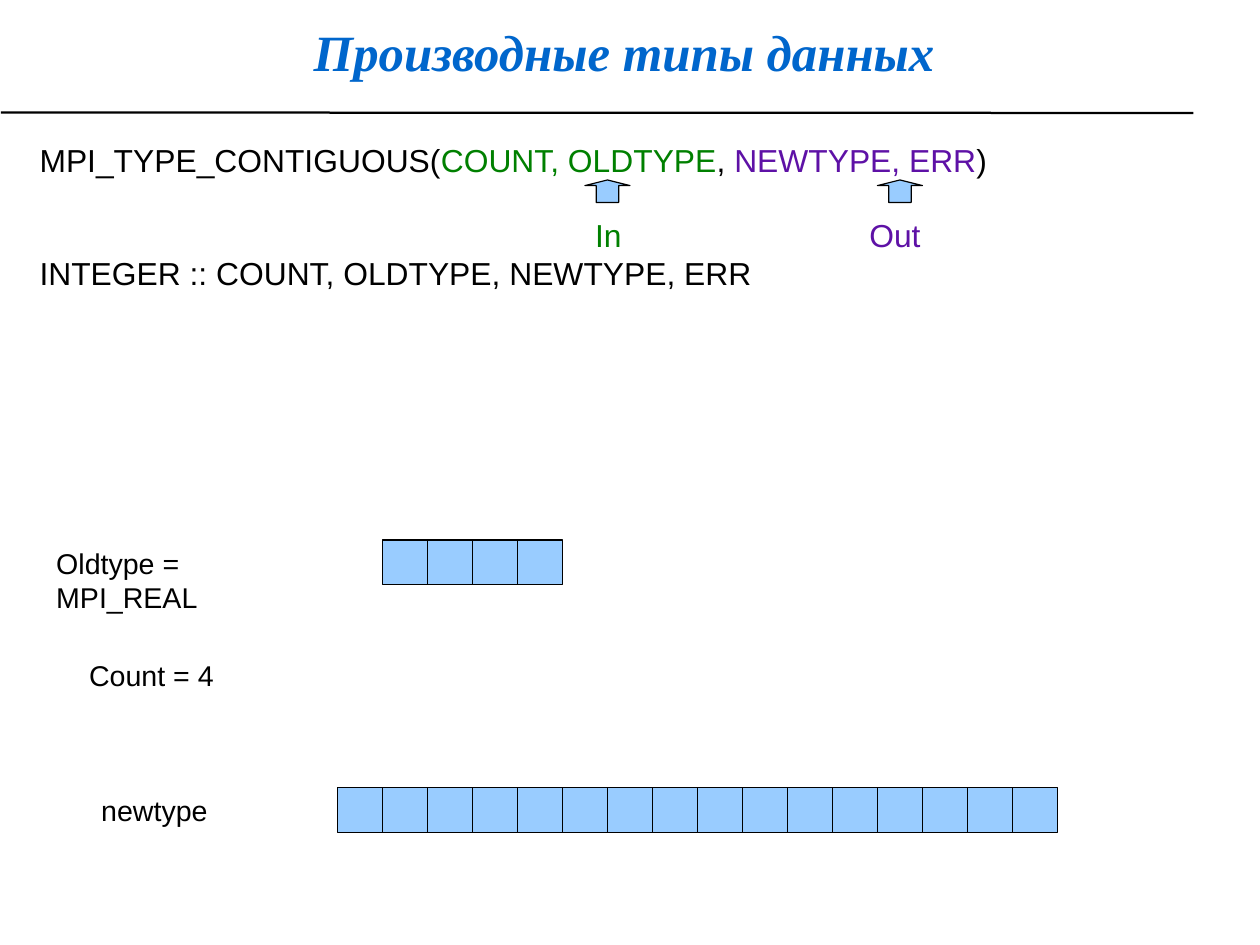
from collections import namedtuple
from dataclasses import dataclass

from lxml import etree
from pptx import Presentation
from pptx import util as u
from pptx.dml.color import RGBColor
from pptx.enum import shapes, text
from pptx.oxml.ns import qn

Box = namedtuple("Box", "col row cols rows")


@dataclass(frozen=True)
class Theme:
    ink: str = "000000"
    heading: str = "0066CC"
    incoming: str = "008000"
    outgoing: str = "5E11A6"
    cell: str = "99CCFF"
    heading_font: str = "Times New Roman"
    body_font: str = "Arial"
    heading_size: float = 32
    code_size: float = 20
    label_size: float = 18
    rule_width: float = 1.42
    cell_width: float = 0.75


THEME = Theme()
WIDTH, HEIGHT = u.Cm(28), u.Cm(21)
COLUMN, ROW = WIDTH / 28, HEIGHT / 21


def place(box):
    return (round(box.col * COLUMN), round(box.row * ROW),
            round(box.cols * COLUMN), round(box.rows * ROW))


def apply(target, formats):
    for name, value in formats.items():
        setattr(target, name, value)


def write(paragraph, words, color, size, font=THEME.body_font, **formats):
    run = paragraph.add_run()
    run.text = words
    apply(run.font, {"name": font, "size": u.Pt(size), **formats})
    run.font.color.rgb = RGBColor.from_string(color)


def add_line(slide, start, end, width):
    (left, top), (right, bottom) = [
        (round(col * COLUMN), round(row * ROW)) for col, row in (start, end)]
    line = slide.shapes.add_connector(
        shapes.MSO_CONNECTOR.STRAIGHT, left, top, right, bottom)
    line.line.width = u.Pt(width)
    line.line.color.rgb = RGBColor.from_string(THEME.ink)
    etree.SubElement(line._element.spPr, qn("a:effectLst"))


def add_block(slide, kind, box):
    block = slide.shapes.add_shape(kind, *place(box))
    block.shadow.inherit = False
    block.fill.solid()
    block.fill.fore_color.rgb = RGBColor.from_string(THEME.cell)
    block.line.color.rgb = RGBColor.from_string(THEME.ink)
    block.line.width = u.Pt(THEME.cell_width)
    return block


def add_heading(slide, box, words):
    heading = slide.shapes.title
    apply(heading, dict(zip(("left", "top", "width", "height"), place(box))))
    frame = heading.text_frame
    apply(frame, {
        "margin_left": u.Inches(0.1), "margin_right": 0,
        "margin_top": 0, "margin_bottom": 0, "word_wrap": True,
        "auto_size": text.MSO_AUTO_SIZE.NONE,
        "vertical_anchor": text.MSO_ANCHOR.MIDDLE,
    })
    paragraph = frame.paragraphs[0]
    apply(paragraph, {"alignment": text.PP_ALIGN.CENTER,
                      "line_spacing": 1.16, "space_before": u.Pt(5)})
    write(paragraph, words, THEME.heading, THEME.heading_size,
          THEME.heading_font, bold=True, italic=True)
    rule_row = box.row + 2.5
    add_line(slide, (box.col + 0.02, rule_row),
             (box.col + 26.52, rule_row + 0.01), THEME.rule_width)


def add_signature(slide, box):
    frame = slide.shapes.add_textbox(*place(box)).text_frame
    frame.word_wrap = True
    call = frame.paragraphs[0]
    for words, color in (
        ("MPI_TYPE_CONTIGUOUS(", THEME.ink),
        ("COUNT, OLDTYPE", THEME.incoming),
        (", ", THEME.ink),
        ("NEWTYPE, ERR", THEME.outgoing),
        (")", THEME.ink),
    ):
        write(call, words, color, THEME.code_size)

    directions = frame.add_paragraph()
    directions.space_before = u.Pt(23.5)
    stops = etree.SubElement(directions._p.get_or_add_pPr(), qn("a:tabLst"))
    for words, color, stop, arrow_col in (
        ("In", THEME.incoming, 4.86, 12.37),
        ("Out", THEME.outgoing, 7.26, 18.87),
    ):
        etree.SubElement(stops, qn("a:tab"),
                         pos=str(u.Inches(stop)), algn="l")
        write(directions, "\t" + words, color, THEME.code_size)
        arrow = add_block(slide, shapes.MSO_SHAPE.UP_ARROW,
                          Box(box.col + arrow_col, box.row + 1, 1, 0.5))
        arrow.adjustments[0], arrow.adjustments[1] = 0.5, 0.25

    write(frame.add_paragraph(), "INTEGER :: COUNT, OLDTYPE, NEWTYPE, ERR",
          THEME.ink, THEME.code_size)


def add_label(slide, box, words):
    frame = slide.shapes.add_textbox(*place(box)).text_frame
    apply(frame, {"word_wrap": False,
                  "auto_size": text.MSO_AUTO_SIZE.SHAPE_TO_FIT_TEXT})
    write(frame.paragraphs[0], words, THEME.ink, THEME.label_size)


def add_memory(slide, box, element_cells=4):
    for start in range(0, box.cols, element_cells):
        left = box.col + start
        add_block(slide, shapes.MSO_SHAPE.RECTANGLE,
                  Box(left, box.row, element_cells, box.rows))
        for offset in range(1, element_cells):
            add_line(slide, (left + offset, box.row),
                     (left + offset, box.row + box.rows), THEME.cell_width)


def main():
    deck = Presentation()
    apply(deck, {"slide_width": WIDTH, "slide_height": HEIGHT})
    slide = deck.slides.add_slide(deck.slide_layouts[5])
    add_heading(slide, Box(0, 0, 27.5, 2.08), "Производные типы данных")
    add_signature(slide, Box(0.63, 3, 25.9, 5))
    for box, words in (
        (Box(1, 12, 6.55, 1.02), "Oldtype = MPI_REAL"),
        (Box(1.73, 14.5, 3.28, 1.02), "Count = 4"),
        (Box(2, 17.5, 2.87, 1.02), "newtype"),
    ):
        add_label(slide, box, words)
    add_memory(slide, Box(8.5, 12, 4, 1))
    add_memory(slide, Box(7.5, 17.5, 16, 1))
    deck.save("out.pptx")


if __name__ == "__main__":
    main()
